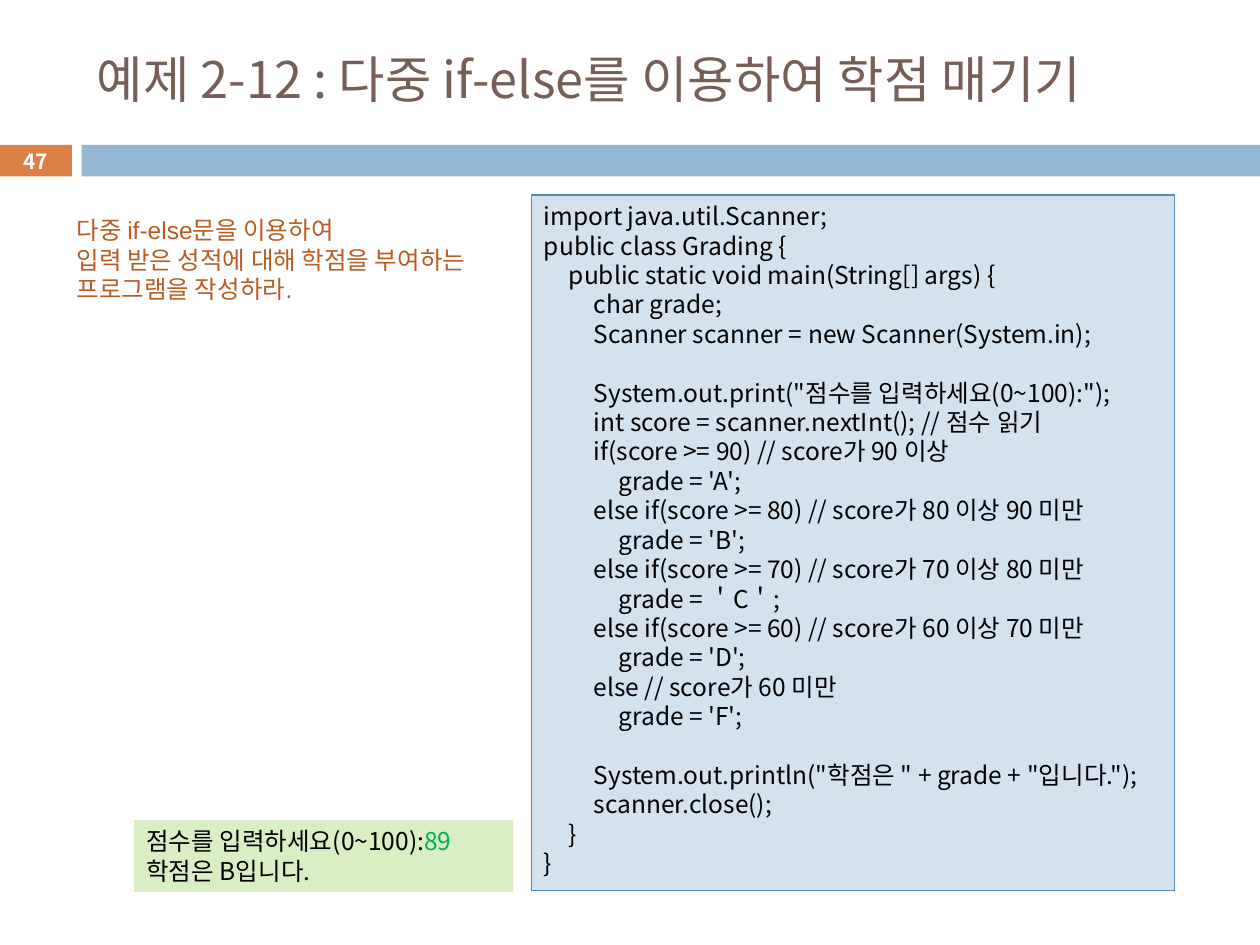
from typing import NamedTuple, Optional

from lxml import etree
from pptx import Presentation
from pptx import util as u
from pptx.dml.color import RGBColor
from pptx.enum import shapes, text
from pptx.oxml.ns import qn

KOREAN = "Noto Sans CJK KR"
TAB_STEP = 14.2
LINE_PITCH = 16.8


class Box(NamedTuple):
    left: float
    top: float
    width: float
    height: float


class Style(NamedTuple):
    size: float = 14
    color: str = "000000"
    latin: str = KOREAN
    bold: bool = False
    align: text.PP_ALIGN = text.PP_ALIGN.LEFT
    pitch: Optional[float] = LINE_PITCH
    tabs: int = 0


CODE = """import java.util.Scanner;
public class Grading {
\tpublic static void main(String[] args) {
\t\tchar grade;
\t\tScanner scanner = new Scanner(System.in);

\t\tSystem.out.print("점수를 입력하세요(0~100):");
\t\tint score = scanner.nextInt(); // 점수 읽기
\t\tif(score >= 90) // score가 90 이상
\t\t\tgrade = 'A';
\t\telse if(score >= 80) // score가 80 이상 90 미만
\t\t\tgrade = 'B';
\t\telse if(score >= 70) // score가 70 이상 80 미만
\t\t\tgrade = ＇C＇;
\t\telse if(score >= 60) // score가 60 이상 70 미만
\t\t\tgrade = 'D';
\t\telse // score가 60 미만
\t\t\tgrade = 'F';

\t\tSystem.out.println("학점은 " + grade + "입니다.");
\t\tscanner.close();
\t}
}"""


def rgb(value: str) -> RGBColor:
    return RGBColor.from_string(value)


def place(shape, box: Box) -> None:
    shape.left, shape.top, shape.width, shape.height = map(u.Pt, box)


def add_panel(slide, box: Box, fill: str, line: Optional[str] = None):
    shape = slide.shapes.add_shape(shapes.MSO_SHAPE.RECTANGLE, *map(u.Pt, box))
    shape.shadow.inherit = False
    shape.fill.solid()
    shape.fill.fore_color.rgb = rgb(fill)
    if line:
        shape.line.color.rgb = rgb(line)
        shape.line.width = u.Pt(0.75)
    else:
        shape.line.fill.background()
    return shape


def format_paragraph(paragraph, style: Style) -> None:
    paragraph.alignment = style.align
    if style.pitch:
        paragraph.line_spacing = u.Pt(style.pitch)
    if style.tabs:
        tab_list = etree.SubElement(paragraph._p.get_or_add_pPr(), qn("a:tabLst"))
        for number in range(1, style.tabs + 1):
            position = str(u.Pt(TAB_STEP * number))
            etree.SubElement(tab_list, qn("a:tab"), pos=position, algn="l")
    font = paragraph.font
    font.size = u.Pt(style.size)
    font.bold = style.bold
    font.name = style.latin
    font.color.rgb = rgb(style.color)
    east_asian = etree.SubElement(font._element, qn("a:ea"))
    east_asian.set("typeface", KOREAN)


def write(shape, lines: list[str], style: Style, anchor=text.MSO_ANCHOR.TOP):
    frame = shape.text_frame
    frame.word_wrap = True
    frame.auto_size = text.MSO_AUTO_SIZE.NONE
    frame.vertical_anchor = anchor
    frame.text = "\n".join(lines)
    for paragraph in frame.paragraphs:
        format_paragraph(paragraph, style)
    return frame


def main() -> None:
    presentation = Presentation()
    presentation.slide_width, presentation.slide_height = u.Pt(720), u.Pt(540)
    slide = presentation.slides.add_slide(presentation.slide_layouts[5])
    middle = text.MSO_ANCHOR.MIDDLE

    number_tab = add_panel(slide, Box(-0.7, 82.8, 41.8, 18), "DD8047")
    add_panel(slide, Box(46.6, 82.8, 673.4, 18), "94B6D2")
    number_style = Style(11.9, "FFFFFF", bold=True, align=text.PP_ALIGN.CENTER, pitch=None)
    write(number_tab, ["47"], number_style, middle)

    title = slide.shapes.title
    place(title, Box(48.2, 18, 642.2, 53.3))
    write(title, ["예제 2-12 : 다중 if-else를 이용하여 학점 매기기"],
          Style(28.8, "775F55", pitch=None), middle)

    code_panel = add_panel(slide, Box(303.8, 111.4, 367.6, 397.4), "D4E2ED", "558BB8")
    write(code_panel, CODE.split("\n"), Style(tabs=3))

    task = slide.shapes.add_textbox(*map(u.Pt, Box(36.7, 119.5, 249.1, 58.3)))
    write(task, ["다중 if-else문을 이용하여",
                 "입력 받은 성적에 대해 학점을 부여하는 프로그램을 작성하라."],
          Style(color="B95B22", latin="Arial"))

    console = add_panel(slide, Box(76.6, 468.7, 216.7, 41), "DAEEC4")
    frame = write(console, ["점수를 입력하세요(0~100):", "학점은 B입니다."], Style())
    typed_score = frame.paragraphs[0].add_run()
    typed_score.text = "89"
    typed_score.font.color.rgb = rgb("00B050")

    presentation.save("out.pptx")


if __name__ == "__main__":
    main()
